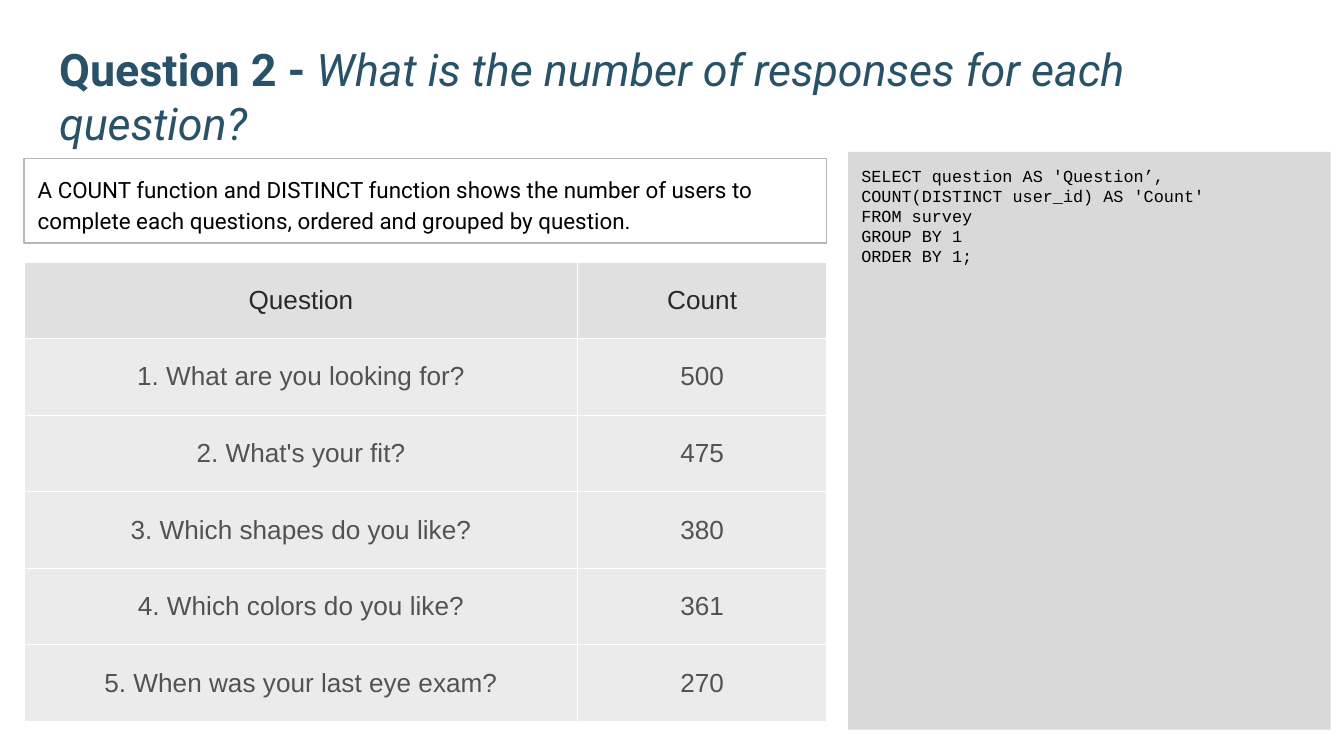
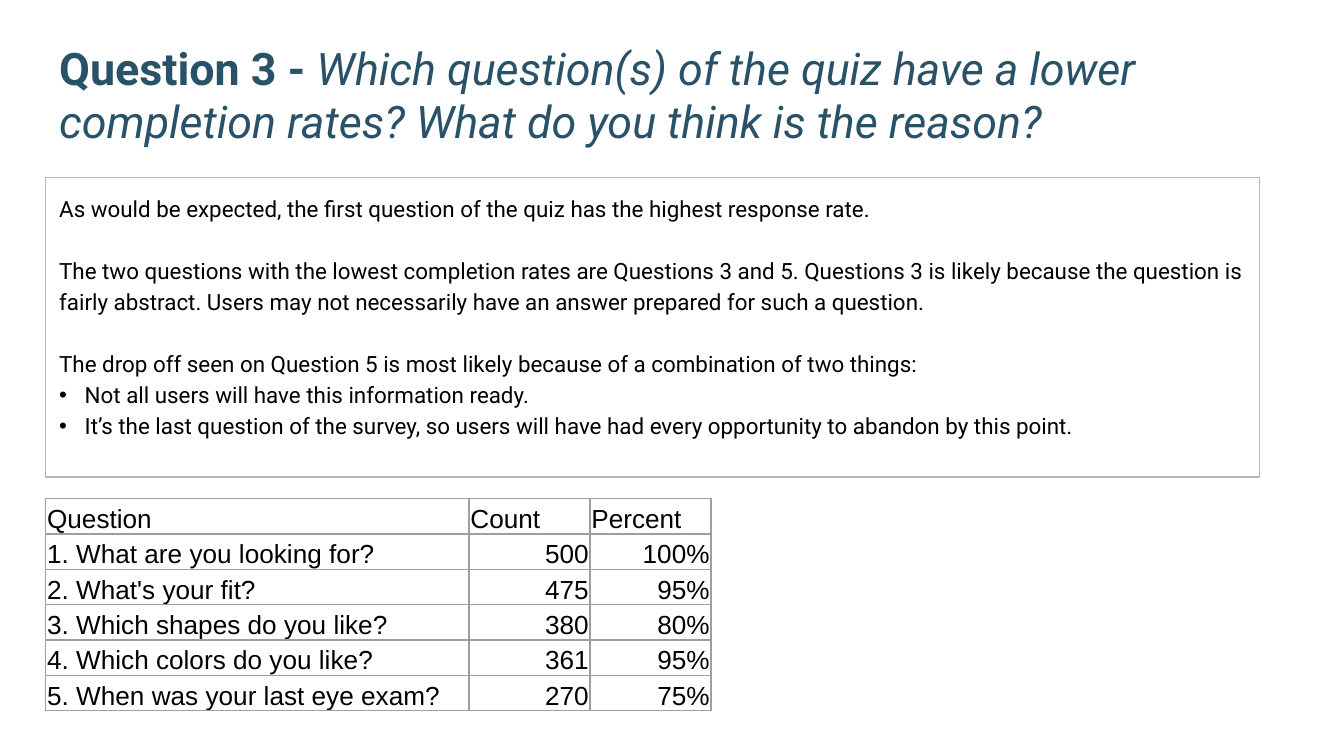
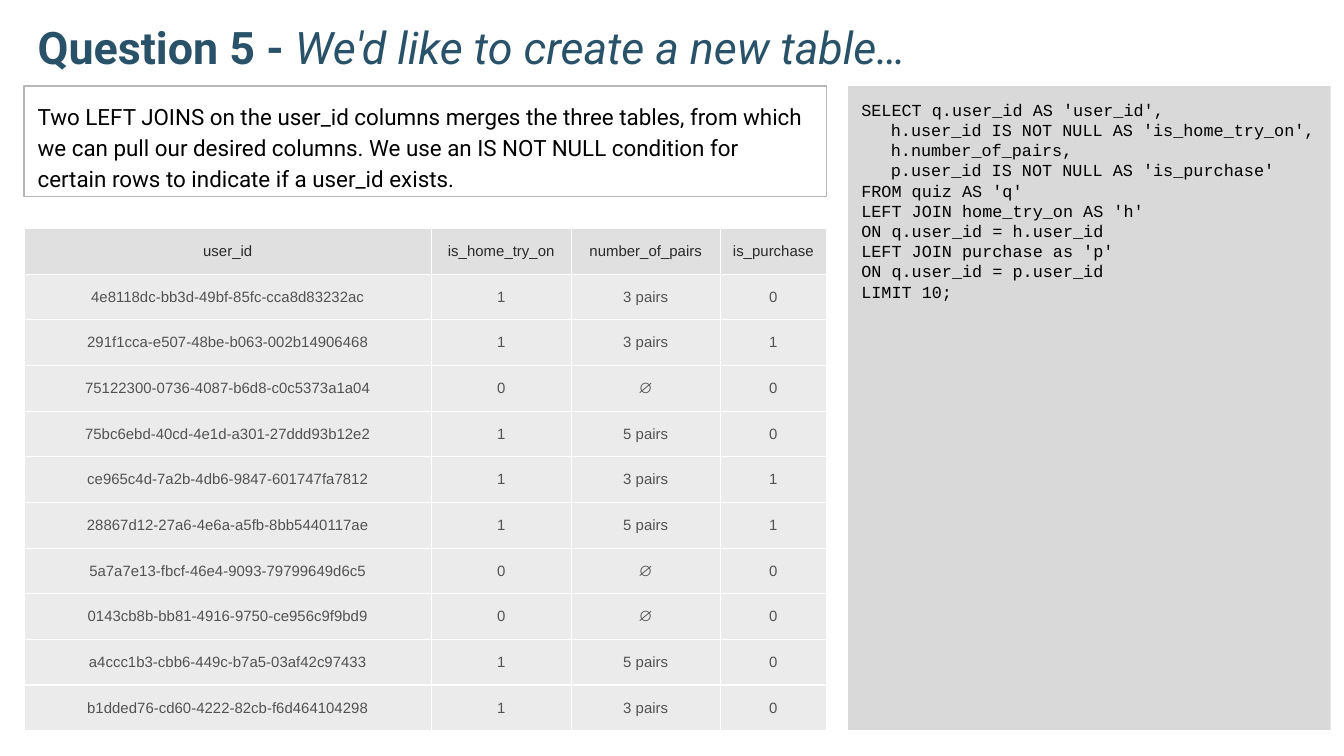
"""Build three slides of survey and quiz results with queries and tables."""
import pptx
import pptx.dml.color
import pptx.enum.shapes
import pptx.enum.text
import pptx.oxml.ns
import pptx.util
from lxml import etree

Inches = pptx.util.Inches
Pt = pptx.util.Pt
Align = pptx.enum.text.PP_ALIGN
Anchor = pptx.enum.text.MSO_ANCHOR

TITLE_COLOR = "295269"
TEXT_COLOR = "000000"
BOX_LINE = "B7B7B7"
CODE_FILL = "D9D9D9"
LEFT_EDGE = 0.18
LEFT_WIDTH = 5.97
CODE_LEFT = 6.31
CODE_WIDTH = 3.59
CODE_BOTTOM = 5.43
CODE_INDENT = 0.22
BULLET_INDENT = 0.19
PARAGRAPH_GAP = 16.8

SHADED = {
    "header_fill": "E0E0E0", "body_fill": "EBEBEB",
    "header_color": "292929", "body_color": "525252",
    "border": "FFFFFF", "anchor": Anchor.MIDDLE,
    "first_align": Align.CENTER, "header_align": Align.CENTER, "value_align": Align.CENTER,
}
PLAIN = {
    "header_fill": None, "body_fill": None,
    "header_color": TEXT_COLOR, "body_color": TEXT_COLOR,
    "border": "9E9E9E", "anchor": Anchor.BOTTOM,
    "first_align": Align.LEFT, "header_align": Align.LEFT, "value_align": Align.RIGHT,
}

questions = [
    "1. What are you looking for?",
    "2. What's your fit?",
    "3. Which shapes do you like?",
    "4. Which colors do you like?",
    "5. When was your last eye exam?",
]
counts = ["500", "475", "380", "361", "270"]
percents = ["100%", "95%", "80%", "95%", "75%"]

slide_contents = [
    {
        "title": ("Question 2 - ", "What is the number of responses for each question?"),
        "title_box": (0.34, 0.22, 9.32, 0.99),
        "body": [
            ("text", "A COUNT function and DISTINCT function shows the number of users to "
                     "complete each questions, ordered and grouped by question."),
        ],
        "body_box": (LEFT_EDGE, 1.18, LEFT_WIDTH, 0.63),
        "code_top": 1.13,
        "code": [
            (0, "SELECT question AS 'Question’,"),
            (0, "COUNT(DISTINCT user_id) AS 'Count'"),
            (0, "FROM survey"),
            (0, "GROUP BY 1"),
            (0, "ORDER BY 1;"),
        ],
        "table_box": (LEFT_EDGE, 1.95, LEFT_WIDTH, 3.42),
        "table_style": SHADED,
        "table_size": 14,
        "cell_margins": (0.1, 0.05, 0.1, 0.05),
        "column_widths": [4.12, 1.85],
        "rows": [("Question", "Count"), *zip(questions, counts)],
    },
    {
        "title": ("Question 3 - ", "Which question(s) of the quiz have a lower completion rates? "
                                   "What do you think is the reason?"),
        "title_box": (0.34, 0.22, 9.32, 0.98),
        "body": [
            ("text", "As would be expected, the first question of the quiz has the highest "
                     "response rate."),
            ("text", "The two questions with the lowest completion rates are Questions 3 and 5. "
                     "Questions 3 is likely because the question is fairly abstract. Users may "
                     "not necessarily have an answer prepared for such a question."),
            ("text", "The drop off seen on Question 5 is most likely because of a combination "
                     "of two things:"),
            ("bullet", "Not all users will have this information ready."),
            ("bullet", "It’s the last question of the survey, so users will have had every "
                       "opportunity to abandon by this point."),
        ],
        "body_box": (0.34, 1.32, 9.03, 2.23),
        "code": [],
        "table_box": (0.34, 3.71, 4.96, 1.58),
        "table_style": PLAIN,
        "table_size": 14,
        "cell_margins": (0.01, 0.01, 0.01, 0),
        "column_widths": [3.15, 0.9, 0.9],
        "rows": [("Question", "Count", "Percent"), *zip(questions, counts, percents)],
    },
    {
        "title": ("Question 5 - ", "We'd like to create a new table…"),
        "title_box": (LEFT_EDGE, 0.01, 9.32, 0.64),
        "body": [
            ("text", "Two LEFT JOINS on the user_id columns merges the three tables, from which "
                     "we can pull our desired columns. We use an IS NOT NULL condition for "
                     "certain rows to indicate if a user_id exists."),
        ],
        "body_box": (LEFT_EDGE, 0.64, LEFT_WIDTH, 0.82),
        "code_top": 0.64,
        "code": [
            (0, "SELECT q.user_id AS 'user_id',"),
            (1, "h.user_id IS NOT NULL AS 'is_home_try_on',"),
            (1, "h.number_of_pairs,"),
            (1, "p.user_id IS NOT NULL AS 'is_purchase'"),
            (0, "FROM quiz AS 'q'"),
            (0, "LEFT JOIN home_try_on AS 'h'"),
            (0, "ON q.user_id = h.user_id"),
            (0, "LEFT JOIN purchase as 'p'"),
            (0, "ON q.user_id = p.user_id"),
            (0, "LIMIT 10;"),
        ],
        "table_box": (LEFT_EDGE, 1.7, LEFT_WIDTH, 3.74),
        "table_style": SHADED,
        "table_size": 8,
        "cell_margins": (0.06, 0.03, 0.06, 0.03),
        "column_widths": [3.03, 1.04, 1.11, 0.79],
        "rows": [
            ("user_id", "is_home_try_on", "number_of_pairs", "is_purchase"),
            ("4e8118dc-bb3d-49bf-85fc-cca8d83232ac", "1", "3 pairs", "0"),
            ("291f1cca-e507-48be-b063-002b14906468", "1", "3 pairs", "1"),
            ("75122300-0736-4087-b6d8-c0c5373a1a04", "0", "∅", "0"),
            ("75bc6ebd-40cd-4e1d-a301-27ddd93b12e2", "1", "5 pairs", "0"),
            ("ce965c4d-7a2b-4db6-9847-601747fa7812", "1", "3 pairs", "1"),
            ("28867d12-27a6-4e6a-a5fb-8bb5440117ae", "1", "5 pairs", "1"),
            ("5a7a7e13-fbcf-46e4-9093-79799649d6c5", "0", "∅", "0"),
            ("0143cb8b-bb81-4916-9750-ce956c9f9bd9", "0", "∅", "0"),
            ("a4ccc1b3-cbb6-449c-b7a5-03af42c97433", "1", "5 pairs", "0"),
            ("b1dded76-cd60-4222-82cb-f6d464104298", "1", "3 pairs", "0"),
        ],
    },
]


def add_run(paragraph, text, size, font_name, color, bold=False, italic=False):
    run = paragraph.add_run()
    run.text = text
    run.font.size = Pt(size)
    run.font.name = font_name
    run.font.color.rgb = pptx.dml.color.RGBColor.from_string(color)
    run.font.bold = bold
    run.font.italic = italic


def place_text_box(shape, box, anchor):
    shape.left, shape.top, shape.width, shape.height = [Inches(length) for length in box]
    frame = shape.text_frame
    frame.word_wrap = True
    frame.auto_size = pptx.enum.text.MSO_AUTO_SIZE.NONE
    frame.vertical_anchor = anchor
    frame.margin_left = frame.margin_right = Inches(0.1)
    frame.margin_top = frame.margin_bottom = Inches(0.1)
    return frame


presentation = pptx.Presentation()
presentation.slide_width = Inches(10)
presentation.slide_height = Inches(10 * 9 / 16)
layout = presentation.slide_layouts.get_by_name("Title and Content")

for content in slide_contents:
    slide = presentation.slides.add_slide(layout)

    title_frame = place_text_box(slide.shapes.title, content["title_box"], Anchor.BOTTOM)
    paragraph = title_frame.paragraphs[0]
    paragraph.alignment = Align.LEFT
    label, question = content["title"]
    add_run(paragraph, label, 24, "Roboto", TITLE_COLOR, bold=True)
    add_run(paragraph, question, 24, "Roboto", TITLE_COLOR, italic=True)

    body = slide.placeholders[1]
    body_frame = place_text_box(body, content["body_box"], Anchor.TOP)
    body.line.color.rgb = pptx.dml.color.RGBColor.from_string(BOX_LINE)
    body.line.width = Pt(0.75)
    for index, (kind, text) in enumerate(content["body"]):
        paragraph = body_frame.paragraphs[0] if index == 0 else body_frame.add_paragraph()
        paragraph.line_spacing = 1.15
        paragraph.space_before = Pt(PARAGRAPH_GAP if kind == "text" and index else 0)
        indent = Inches(BULLET_INDENT if kind == "bullet" else 0)
        properties = paragraph._p.get_or_add_pPr()
        properties.set("marL", str(indent))
        properties.set("indent", str(-indent))
        if kind == "bullet":
            bullet = etree.SubElement(properties, pptx.oxml.ns.qn("a:buChar"))
            bullet.set("char", "•")
        else:
            etree.SubElement(properties, pptx.oxml.ns.qn("a:buNone"))
        add_run(paragraph, text, 12, "Roboto", TEXT_COLOR)

    if content["code"]:
        code_panel = slide.shapes.add_shape(pptx.enum.shapes.MSO_SHAPE.RECTANGLE, 0, 0, 0, 0)
        code_box = (CODE_LEFT, content["code_top"], CODE_WIDTH, CODE_BOTTOM - content["code_top"])
        code_frame = place_text_box(code_panel, code_box, Anchor.TOP)
        code_panel.shadow.inherit = False
        code_panel.fill.solid()
        code_panel.fill.fore_color.rgb = pptx.dml.color.RGBColor.from_string(CODE_FILL)
        code_panel.line.fill.background()
        for index, (level, text) in enumerate(content["code"]):
            paragraph = code_frame.paragraphs[0] if index == 0 else code_frame.add_paragraph()
            paragraph.alignment = Align.LEFT
            paragraph._p.get_or_add_pPr().set("marL", str(Inches(CODE_INDENT * level)))
            add_run(paragraph, text, 9, "Courier New", TEXT_COLOR)

    rows = content["rows"]
    widths = content["column_widths"]
    style = content["table_style"]
    table_box = [Inches(length) for length in content["table_box"]]
    table = slide.shapes.add_table(len(rows), len(widths), *table_box).table
    table.first_row = False
    table.horz_banding = False
    for column, width in zip(table.columns, widths):
        column.width = Inches(width)
    for row_index, row in enumerate(rows):
        part = "body" if row_index else "header"
        for column_index, text in enumerate(row):
            cell = table.cell(row_index, column_index)
            cell.vertical_anchor = style["anchor"]
            margins = [Inches(margin) for margin in content["cell_margins"]]
            cell.margin_left, cell.margin_top, cell.margin_right, cell.margin_bottom = margins

            cell_properties = cell._tc.get_or_add_tcPr()
            for side in ("lnL", "lnR", "lnT", "lnB"):
                border = etree.SubElement(cell_properties, pptx.oxml.ns.qn(f"a:{side}"))
                border.set("w", str(Pt(0.75)))
                border_fill = etree.SubElement(border, pptx.oxml.ns.qn("a:solidFill"))
                border_color = etree.SubElement(border_fill, pptx.oxml.ns.qn("a:srgbClr"))
                border_color.set("val", style["border"])

            fill_color = style[f"{part}_fill"]
            if fill_color:
                cell.fill.solid()
                cell.fill.fore_color.rgb = pptx.dml.color.RGBColor.from_string(fill_color)
            else:
                cell.fill.background()

            paragraph = cell.text_frame.paragraphs[0]
            if column_index == 0:
                paragraph.alignment = style["first_align"]
            else:
                paragraph.alignment = style["value_align" if row_index else "header_align"]
            add_run(paragraph, text, content["table_size"], "Arial", style[f"{part}_color"])

presentation.save("out.pptx")
